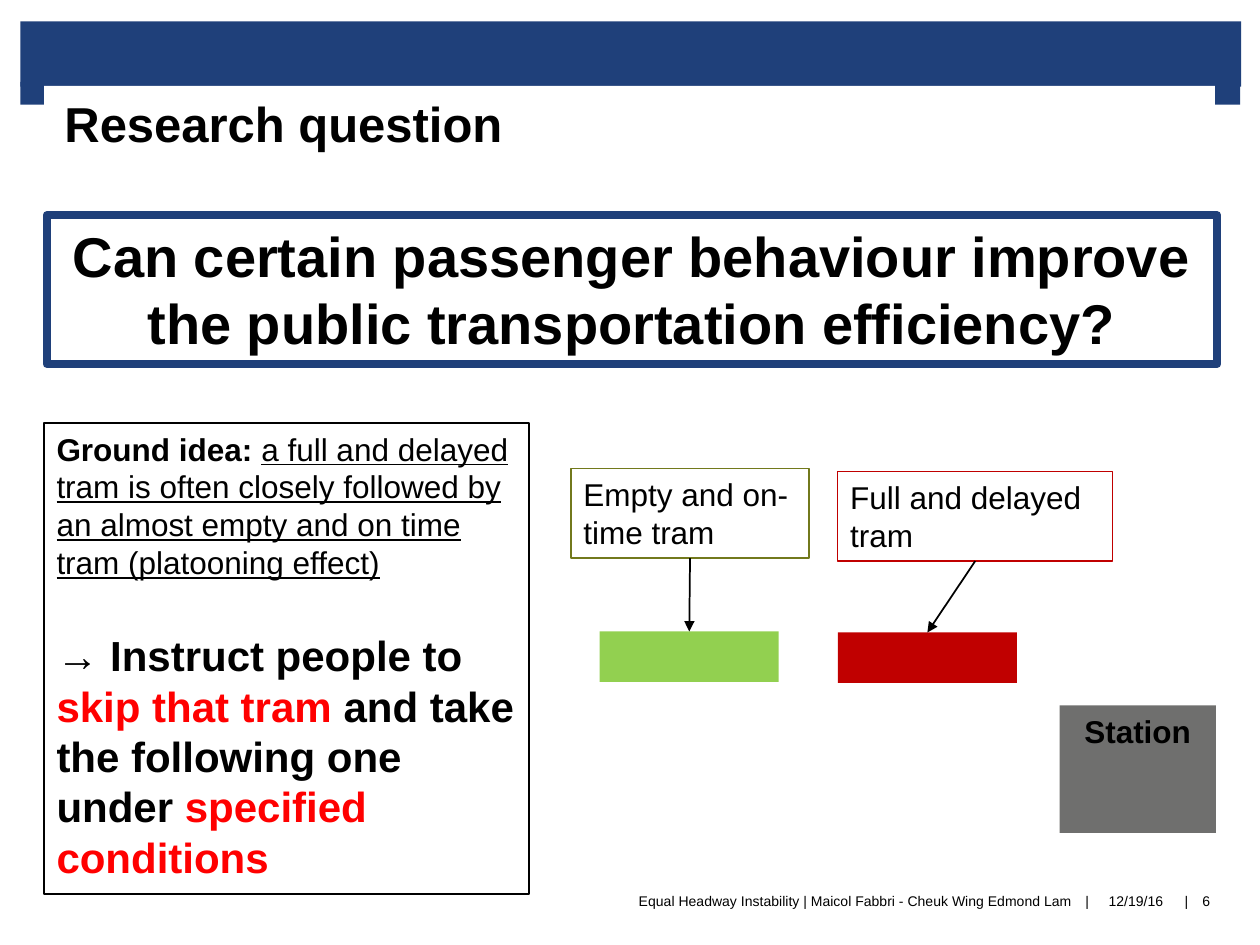
from dataclasses import dataclass
from typing import Optional

from lxml.etree import SubElement
from pptx import Presentation
from pptx.dml.color import RGBColor
from pptx.enum.shapes import MSO_CONNECTOR, MSO_SHAPE
from pptx.enum.text import MSO_ANCHOR as Anchor, PP_ALIGN as Align
from pptx.oxml.ns import qn
from pptx.util import Cm, Pt

BLUE = RGBColor(0x1F, 0x40, 0x7A)
BLACK = RGBColor(0, 0, 0)
WHITE = RGBColor(0xFF, 0xFF, 0xFF)
RED = RGBColor(0xFF, 0, 0)
DARK_RED = RGBColor(0xC0, 0, 0)
GREEN = RGBColor(0x92, 0xD0, 0x50)
OLIVE = RGBColor(0x72, 0x79, 0x1C)
GREY = RGBColor(0x6F, 0x6F, 0x6E)
FONT = "Arial"


@dataclass(frozen=True)
class Span:
    text: str
    size: float = 18
    bold: bool = False
    underline: bool = False
    color: RGBColor = BLACK


@dataclass(frozen=True)
class Box:
    """A rectangle with lengths in centimetres and optional paragraphs of spans."""
    x: float
    y: float
    w: float
    h: float
    fill: Optional[RGBColor] = None
    line: Optional[RGBColor] = None
    weight: float = 0.75
    paragraphs: tuple[tuple[Span, ...], ...] = ()
    align: Align = Align.LEFT
    gap: float = 0
    inset: tuple[float, float] = (0.25, 0.13)


@dataclass(frozen=True)
class FooterItem:
    text: str
    x: float
    w: float
    align: Align = Align.CENTER


@dataclass(frozen=True)
class Tram:
    label: Box
    body: Box


def write(tf, paragraphs, align: Align, gap: float = 0) -> None:
    tf.word_wrap = True
    for i, spans in enumerate(paragraphs):
        p = tf.add_paragraph() if i else tf.paragraphs[0]
        p.alignment = align
        p.space_before = Pt(gap if i else 0)
        for span in spans:
            r = p.add_run()
            r.text = span.text
            r.font.name = FONT
            r.font.size = Pt(span.size)
            r.font.bold = span.bold
            r.font.underline = span.underline
            r.font.color.rgb = span.color


def draw_box(s, box: Box):
    sp = s.shapes.add_shape(MSO_SHAPE.RECTANGLE, Cm(box.x), Cm(box.y), Cm(box.w), Cm(box.h))
    sp.shadow.inherit = False
    if box.fill is None:
        sp.fill.background()
    else:
        sp.fill.solid()
        sp.fill.fore_color.rgb = box.fill
    if box.line is None:
        sp.line.fill.background()
    else:
        sp.line.color.rgb = box.line
        sp.line.width = Pt(box.weight)
    tf = sp.text_frame
    tf.vertical_anchor = Anchor.TOP
    tf.margin_left = tf.margin_right = Cm(box.inset[0])
    tf.margin_top = Cm(box.inset[1])
    write(tf, box.paragraphs, box.align, box.gap)
    return sp


def draw_tram(s, tram: Tram) -> None:
    label, body = draw_box(s, tram.label), draw_box(s, tram.body)
    arrow = s.shapes.add_connector(
        MSO_CONNECTOR.STRAIGHT,
        label.left + label.width // 2, label.top + label.height,
        body.left + body.width // 2, body.top)
    arrow.line.color.rgb = BLACK
    arrow.line.width = Pt(1)
    sp_pr = arrow.element.spPr
    SubElement(sp_pr.find(qn("a:ln")), qn("a:tailEnd"), type="triangle")
    SubElement(sp_pr, qn("a:effectLst"))


def draw_footer_item(s, item: FooterItem) -> None:
    tf = s.shapes.add_textbox(Cm(item.x), Cm(17.52), Cm(item.w), Cm(1.3)).text_frame
    tf.margin_left = tf.margin_right = tf.margin_top = tf.margin_bottom = 0
    tf.vertical_anchor = Anchor.MIDDLE
    write(tf, ((Span(item.text, 8),),), item.align)


HEADER = (
    Box(0.41, 0.43, 24.61, 1.32, fill=BLUE),
    Box(0.41, 1.65, 0.51, 0.46, fill=BLUE),
    Box(24.49, 1.65, 0.51, 0.46, fill=BLUE),
    Box(0.89, 1.73, 23.6, 2.69, fill=WHITE, inset=(0.41, 0.15),
        paragraphs=((Span("Research question", 28, bold=True),),)),
)

QUESTION = Box(
    0.94, 4.34, 23.6, 3, line=BLUE, weight=4.5, align=Align.CENTER,
    paragraphs=((Span("Can certain passenger behaviour improve the public "
                      "transportation efficiency?", 32, bold=True),),))

IDEA = Box(
    0.89, 8.53, 9.78, 9.5, line=BLACK, weight=1.25, gap=28,
    paragraphs=(
        (Span("Ground idea: ", bold=True),
         Span("a full and delayed tram is often closely followed by an almost "
              "empty and on time tram (platooning effect)", underline=True)),
        (Span("→ Instruct people to ", 24, bold=True),
         Span("skip that tram ", 24, bold=True, color=RED),
         Span("and take the following one under ", 24, bold=True),
         Span("specified conditions", 24, bold=True, color=RED)),
    ))

STATION = Box(21.36, 14.22, 3.15, 2.57, fill=GREY, align=Align.CENTER,
              paragraphs=((Span("Station", bold=True),),))

TRAMS = (
    Tram(Box(16.89, 9.51, 5.54, 1.8, line=DARK_RED,
             paragraphs=((Span("Full and delayed tram"),),)),
         Box(16.89, 12.75, 3.61, 1.02, fill=DARK_RED)),
    Tram(Box(11.51, 9.45, 4.8, 1.8, line=OLIVE,
             paragraphs=((Span("Empty and on-time tram"),),)),
         Box(12.09, 12.73, 3.61, 1.02, fill=GREEN)),
)

FOOTER = (
    FooterItem("Equal Headway Instability | Maicol Fabbri - Cheuk Wing Edmond Lam",
               12.7, 8.92, Align.RIGHT),
    FooterItem("|", 21.77, 0.3),
    FooterItem("12/19/16", 22.05, 1.7),
    FooterItem("|", 23.77, 0.3),
    FooterItem("6", 23.95, 0.74),
)


def main() -> None:
    prs = Presentation()
    prs.slide_width, prs.slide_height = Cm(25.4), Cm(19.05)
    s = prs.slides.add_slide(prs.slide_layouts[6])

    # Header, question, idea and station
    for box in (*HEADER, QUESTION, IDEA, STATION):
        draw_box(s, box)

    # Trams with their labels and arrows
    for tram in TRAMS:
        draw_tram(s, tram)

    # Footer
    for item in FOOTER:
        draw_footer_item(s, item)

    prs.save("out.pptx")


if __name__ == "__main__":
    main()
